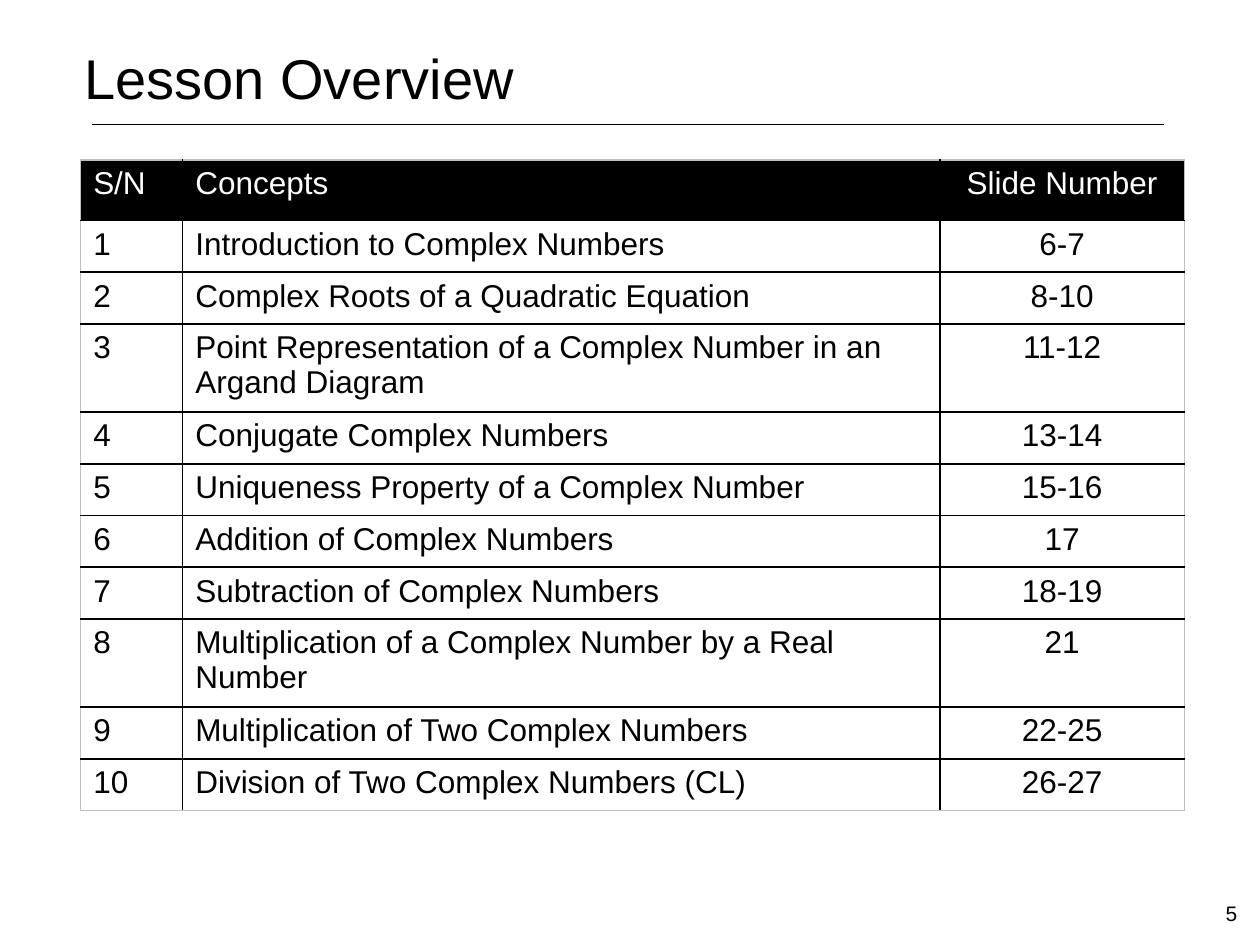
import pptx
import pptx.util
import pptx.dml.color
import pptx.enum.shapes
import pptx.enum.text
import pptx.oxml

COLORS = {"ink": "000000", "paper": "FFFFFF", "edge": "BFBFBF"}
FONT = "Arial"
WIDTH, HEIGHT = pptx.util.Inches(10), pptx.util.Inches(7.5)
COLUMNS = (8.1, 60.1, 19.4)
HEADER_HEIGHT, ROW_HEIGHT = 6.4, 5.47
HEADER = ("S/N", "Concepts", "Slide Number")
LESSONS = (
    ("Introduction to Complex Numbers", "6-7"),
    ("Complex Roots of a Quadratic Equation", "8-10"),
    ("Point Representation of a Complex Number in an Argand Diagram", "11-12"),
    ("Conjugate Complex Numbers", "13-14"),
    ("Uniqueness Property of a Complex Number", "15-16"),
    ("Addition of Complex Numbers", "17"),
    ("Subtraction of Complex Numbers", "18-19"),
    ("Multiplication of a Complex Number by a Real Number", "21"),
    ("Multiplication of Two Complex Numbers", "22-25"),
    ("Division of Two Complex Numbers (CL)", "26-27"),
)


def across(percent):
    """Return a share of the slide's width."""
    return round(WIDTH * percent / 100)


def down(percent):
    """Return a share of the slide's height."""
    return round(HEIGHT * percent / 100)


def rgb(name):
    """Return the named colour."""
    return pptx.dml.color.RGBColor.from_string(COLORS[name])


def write(tf, text, size=18, color="ink", align="LEFT"):
    """Write one formatted paragraph into a text frame."""
    p = tf.paragraphs[0]
    p.alignment = getattr(pptx.enum.text.PP_ALIGN, align)
    r = p.add_run()
    r.text = text
    r.font.name = FONT
    r.font.size = pptx.util.Pt(size)
    r.font.color.rgb = rgb(color)


def add_text(s, left, top, width, height, text, **style):
    """Add a wrapping text box placed in percent of the slide."""
    sp = s.shapes.add_textbox(across(left), down(top), across(width), down(height))
    sp.text_frame.word_wrap = True
    write(sp.text_frame, text, **style)


def add_rule(s, left, right, y, width):
    """Add a thin horizontal rule."""
    sp = s.shapes.add_connector(
        pptx.enum.shapes.MSO_CONNECTOR.STRAIGHT,
        across(left), down(y), across(right), down(y))
    sp.line.color.rgb = rgb("ink")
    sp.line.width = pptx.util.Pt(width)
    effects = pptx.oxml.parse_xml(
        f"<a:effectLst {pptx.oxml.ns.nsdecls('a')}/>")
    sp._element.spPr.append(effects)


def set_borders(cell, outer):
    """Draw black inner borders and pale ones on the outer sides."""
    tc_pr = cell._tc.get_or_add_tcPr()
    for side in "LRTB":
        color, width = ("edge", 0.75) if side in outer else ("ink", 1)
        tc_pr.append(pptx.oxml.parse_xml(
            f"<a:ln{side} {pptx.oxml.ns.nsdecls('a')} w='{pptx.util.Pt(width)}'>"
            f"<a:solidFill><a:srgbClr val='{COLORS[color]}'/></a:solidFill>"
            f"</a:ln{side}>"))


def outer_sides(i, j, last_row, last_column):
    """Return the letters of the cell sides on the table's outline."""
    edges = {"L": j == 0, "R": j == last_column, "T": i == 0, "B": i == last_row}
    return [side for side, is_outer in edges.items() if is_outer]


def add_table(s, left, top, rows):
    """Add the lesson table with a black header row."""
    height = HEADER_HEIGHT + ROW_HEIGHT * (len(rows) - 1)
    table = s.shapes.add_table(
        len(rows), len(COLUMNS), across(left), down(top),
        across(sum(COLUMNS)), down(height)).table
    table.first_row = table.horz_banding = False
    for column, width in zip(table.columns, COLUMNS):
        column.width = across(width)
    for i, values in enumerate(rows):
        table.rows[i].height = down(ROW_HEIGHT if i else HEADER_HEIGHT)
        for j, text in enumerate(values):
            cell = table.cell(i, j)
            set_borders(cell, outer_sides(i, j, len(rows) - 1, len(COLUMNS) - 1))
            cell.fill.solid()
            cell.fill.fore_color.rgb = rgb("paper" if i else "ink")
            write(cell.text_frame, text, color="ink" if i else "paper",
                  align="CENTER" if j == 2 else "LEFT")


def main():
    """Build the lesson overview slide."""
    prs = pptx.Presentation()
    prs.slide_width, prs.slide_height = WIDTH, HEIGHT
    s = prs.slides.add_slide(prs.slide_layouts[6])
    add_rule(s, 7.3, 92.4, 13.2, 0.25)
    add_text(s, 5.7, 4, 88.9, 16.67, "Lesson Overview", size=32)
    lessons = [(str(n), *lesson) for n, lesson in enumerate(LESSONS, 1)]
    add_table(s, 6.4, 16.93, [HEADER, *lessons])
    add_text(s, 96.3, 94.67, 3.7, 5.33, "5", size=12)
    prs.save("out.pptx")


if __name__ == "__main__":
    main()
